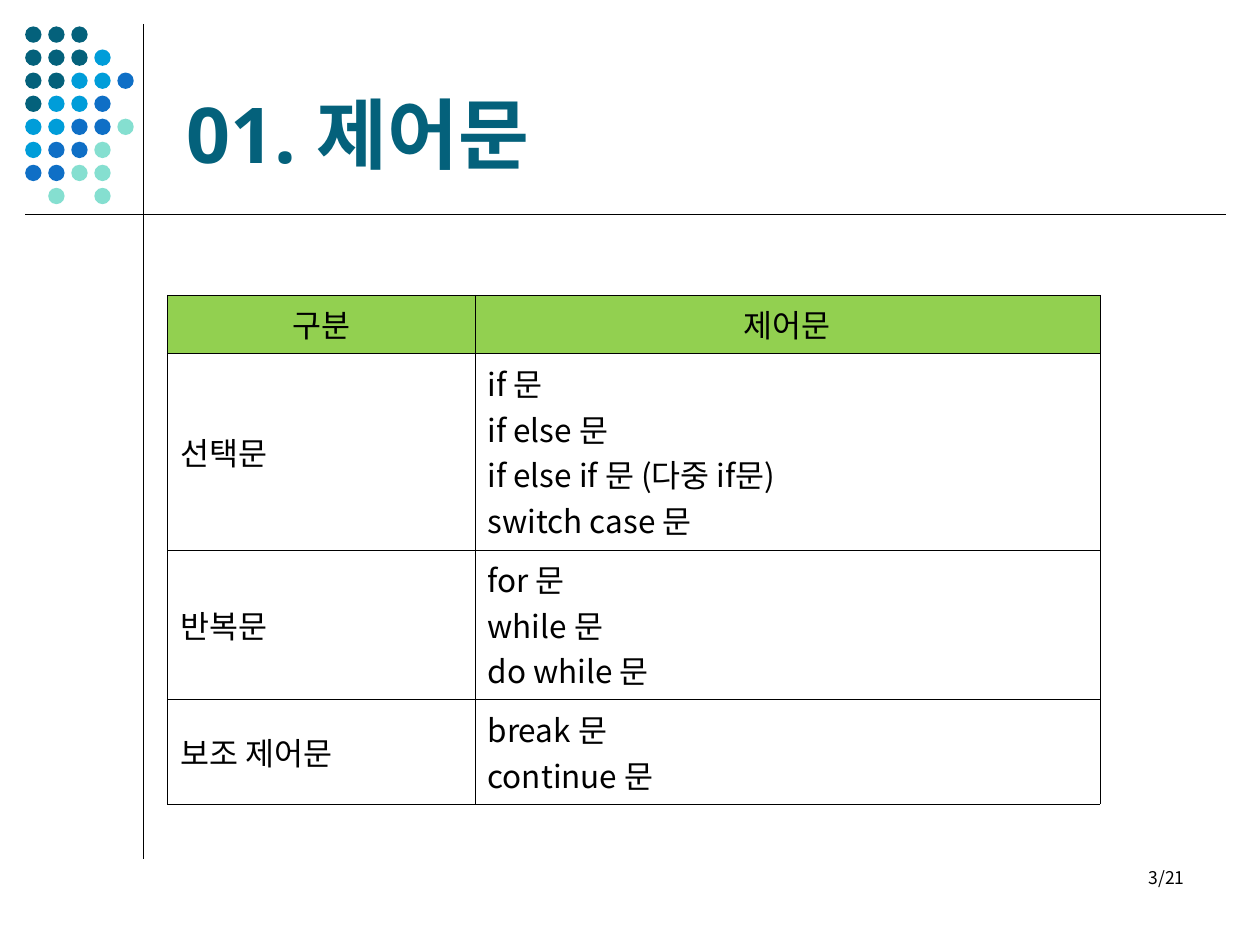
from lxml import etree
from pptx import Presentation, util as u
from pptx.dml.color import RGBColor
from pptx.enum import shapes, text
from pptx.oxml.ns import qn

BLACK = RGBColor(0, 0, 0)
TEAL = RGBColor(0x04, 0x61, 0x7B)
SKY = RGBColor(0x00, 0x9D, 0xD9)
BLUE = RGBColor(0x0F, 0x6F, 0xC6)
MINT = RGBColor(0x85, 0xDF, 0xD0)
GREEN = RGBColor(0x92, 0xD0, 0x50)
KOREAN = "Noto Sans CJK KR"


def write(frame, lines, size=18, font=KOREAN, color=BLACK, bold=False,
          align=text.PP_ALIGN.LEFT):
    """Fill a text frame with one formatted paragraph per line."""
    for i, line in enumerate(lines):
        paragraph = frame.paragraphs[0] if i == 0 else frame.add_paragraph()
        paragraph.alignment = align
        run = paragraph.add_run()
        run.text = line
        run.font.size, run.font.name, run.font.bold = u.Pt(size), font, bold
        run.font.color.rgb = color
        latin = run.font._element.find(qn("a:latin"))
        east_asian = etree.Element(qn("a:ea"), typeface=KOREAN)
        latin.addnext(east_asian)


def add_border(cell, side):
    """Draw a hairline along one side of a table cell."""
    line = etree.SubElement(cell._tc.get_or_add_tcPr(), qn(f"a:{side}"), w="762")
    fill = etree.SubElement(line, qn("a:solidFill"))
    etree.SubElement(fill, qn("a:srgbClr"), val=str(BLACK))


deck = Presentation()
deck.slide_width, deck.slide_height = u.Inches(10), u.Inches(7.5)
slide = deck.slides.add_slide(deck.slide_layouts[5])

# Crossing rules
for x1, y1, x2, y2 in [(1.14, 0.19, 1.14, 6.82), (0.2, 1.7, 9.73, 1.7)]:
    rule = slide.shapes.add_connector(
        shapes.MSO_CONNECTOR.STRAIGHT, *map(u.Inches, (x1, y1, x2, y2)))
    rule.line.color.rgb, rule.line.width = BLACK, u.Pt(0.74)
    etree.SubElement(rule._element.spPr, qn("a:effectLst"))

# Dot grid: one letter per dot, a space leaves a gap
dot_colors = {"t": TEAL, "s": SKY, "b": BLUE, "m": MINT}
dot_rows = ["ttt", "ttts", "ttssb", "tssb", "ssbbm", "sbbm", "bbmm", " m m"]
dot_pitch, dot_size = 0.183, u.Inches(0.13)
dots = slide.shapes.add_group_shape()
for row, letters in enumerate(dot_rows):
    for column, letter in enumerate(letters):
        if letter == " ":
            continue
        dot = dots.shapes.add_shape(
            shapes.MSO_SHAPE.OVAL, u.Inches(0.2 + column * dot_pitch),
            u.Inches(0.21 + row * dot_pitch), dot_size, dot_size)
        dot.fill.solid()
        dot.fill.fore_color.rgb = dot_colors[letter]
        dot.line.fill.background()
        dot.shadow.inherit = False

# Title
title = slide.shapes.title
title.left, title.top, title.width, title.height = map(
    u.Inches, (1.38, 0.21, 8.25, 1.26))
title.text_frame.auto_size = text.MSO_AUTO_SIZE.NONE
title.text_frame.vertical_anchor = text.MSO_ANCHOR.BOTTOM
write(title.text_frame, ["01. 제어문"], size=44, font="Noto Sans",
      color=TEAL, bold=True)

# Table of control statements
statements = [
    (["구분"], ["제어문"]),
    (["선택문"], ["if 문", "if else 문", "if else if 문 (다중 if문)", "switch case 문"]),
    (["반복문"], ["for 문", "while 문", "do while 문"]),
    (["보조 제어문"], ["break 문", "continue 문"]),
]
column_widths, row_heights = [2.44, 4.96], [0.46, 1.56, 1.19, 0.83]
table = slide.shapes.add_table(
    len(row_heights), len(column_widths), u.Inches(1.33), u.Inches(2.34),
    u.Inches(sum(column_widths)), u.Inches(sum(row_heights))).table
for column, width in zip(table.columns, column_widths):
    column.width = u.Inches(width)
for r, (height, entries) in enumerate(zip(row_heights, statements)):
    table.rows[r].height = u.Inches(height)
    for c, lines in enumerate(entries):
        cell = table.cell(r, c)
        cell.vertical_anchor = text.MSO_ANCHOR.MIDDLE
        for side in ("lnL", "lnR", "lnT", "lnB"):
            add_border(cell, side)
        if r == 0:
            cell.fill.solid()
            cell.fill.fore_color.rgb = GREEN
        else:
            cell.fill.background()
        write(cell.text_frame, lines,
              align=text.PP_ALIGN.LEFT if r else text.PP_ALIGN.CENTER)

# Page number
page = slide.shapes.add_textbox(*map(u.Inches, (7.17, 6.83, 2.33, 0.5)))
page.text_frame.word_wrap = True
write(page.text_frame, ["3/21"], size=10, align=text.PP_ALIGN.RIGHT)

deck.save("out.pptx")
